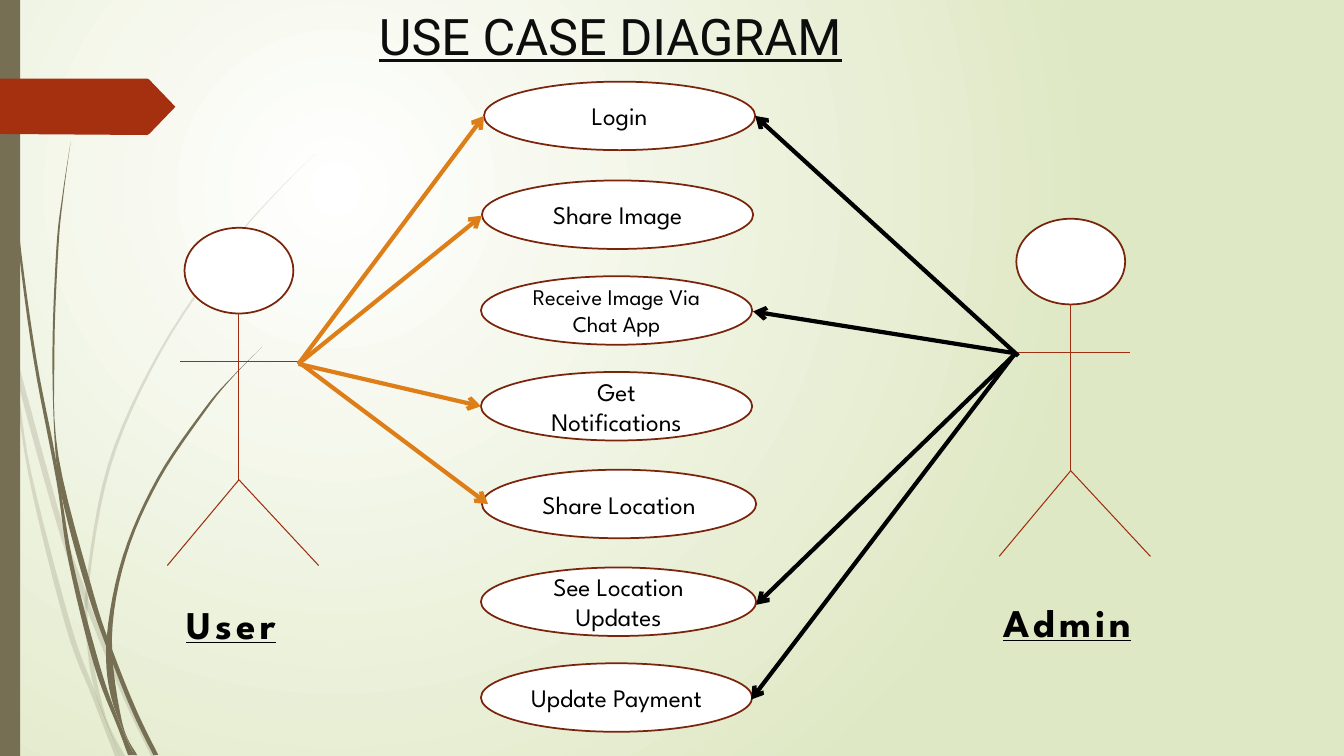
from dataclasses import dataclass
from typing import Any, Optional

from lxml import etree
from pptx import Presentation
from pptx import util as u
from pptx.dml.color import RGBColor
from pptx.enum import shapes, text
from pptx.oxml import ns

Point = tuple[float, float]

# The slide is a grid of 13.33 columns by 7.5 rows.
COLUMNS, ROWS = 13.33, 7.5
SLIDE_W, SLIDE_H = u.Inches(COLUMNS), u.Inches(ROWS)

WHITE = RGBColor(0xFF, 0xFF, 0xFF)
PALE_GREEN = RGBColor(0xDF, 0xE8, 0xC4)
OLIVE = RGBColor(0x76, 0x6F, 0x54)
RUST = RGBColor(0xA5, 0x30, 0x10)
OUTLINE = RGBColor(0x7A, 0x24, 0x0C)
LIMB = RGBColor(0x9E, 0x2E, 0x0F)
ORANGE = RGBColor(0xDE, 0x7E, 0x18)
BLACK = RGBColor(0, 0, 0)
TITLE_INK = RGBColor(0x0D, 0x0D, 0x0D)


@dataclass(frozen=True)
class Blade:
    """A grass blade between two edges, both listed from tip to root."""
    left: list[Point]
    right: list[Point]
    opacity: Optional[int] = None


@dataclass(frozen=True)
class UseCase:
    label: str
    col: float
    row: float
    width: float = 2.69
    size: int = 18


@dataclass(frozen=True)
class Actor:
    name: str
    col: float
    row: float
    name_box: tuple[float, float, float, float]
    arrow_color: RGBColor
    arrows: list[tuple[Point, Point]]


BLADES = [
    Blade([(0, 2.99), (0.11, 3.5), (0.28, 4.7), (0.65, 6.21), (0.92, 6.93), (1.14, 7.5)],
          [(0, 2.82), (0.09, 3.22), (0.17, 3.76), (0.31, 4.69), (0.7, 6.19),
           (0.93, 6.83), (1.19, 7.5)], 20),
    Blade([(0.14, 3.45), (0.17, 3.76), (0.57, 5.22), (0.84, 5.99), (1.23, 6.94), (1.5, 7.5)],
          [(0.14, 3.45), (0.62, 5.2), (0.85, 5.86), (0.92, 6.07), (1.27, 6.92),
           (1.55, 7.5)], 20),
    Blade([(3.12, 1.53), (2.68, 1.97), (2.28, 2.44), (1.58, 3.48), (1.07, 4.61),
           (0.85, 5.84), (0.87, 6.46), (0.96, 6.92), (1.19, 7.5)],
          [(3.12, 1.53), (2.68, 1.98), (2.29, 2.45), (1.6, 3.49), (1.1, 4.62),
           (0.88, 5.84), (0.91, 6.46), (1.05, 7.11), (1.24, 7.5)], 20),
    Blade([(0.03, 0), (0.07, 1.1), (0.17, 2.33), (0.33, 3.55), (0.56, 4.77),
           (0.68, 5.57), (0.93, 6.59), (1.17, 7.22), (1.27, 7.49)],
          [(0.04, 0), (0.08, 1.09), (0.19, 2.32), (0.36, 3.55), (0.55, 4.53),
           (0.72, 5.56), (0.98, 6.57), (1.16, 7.1), (1.33, 7.49)]),
    Blade([(0.7, 1.41), (0.62, 1.93), (0.56, 2.45), (0.52, 3.49), (0.55, 4.49),
           (0.64, 5.05), (0.88, 5.92), (1.11, 6.56), (1.32, 7.08), (1.52, 7.49)],
          [(0.7, 1.41), (0.63, 1.93), (0.58, 2.45), (0.54, 3.49), (0.58, 4.53),
           (0.93, 5.9), (1.13, 6.49), (1.36, 7.06), (1.57, 7.49)]),
    Blade([(2.6, 3.44), (2.31, 3.73), (2.03, 4.05), (1.56, 4.74), (1.22, 5.51),
           (1.06, 6.31), (1.1, 6.91), (1.33, 7.49)],
          [(2.6, 3.44), (2.31, 3.74), (2.05, 4.06), (1.58, 4.76), (1.25, 5.52),
           (1.11, 6.33), (1.21, 7.16), (1.36, 7.49)]),
]
RIBBON = [(0, 0.78), (1.46, 0.78), (1.48, 0.79), (1.74, 1.06), (1.48, 1.33),
          (1.46, 1.34), (0, 1.33)]
USE_CASES = [
    UseCase("Login", 4.8, 0.81),
    UseCase("Share Image", 4.78, 1.79),
    UseCase("Receive Image Via Chat App", 4.77, 2.74, size=16),
    UseCase("Get Notifications", 4.77, 3.69),
    UseCase("Share Location", 4.78, 4.66, 2.72),
    UseCase("See Location Updates", 4.77, 5.63, 2.73),
    UseCase("Update Payment", 4.77, 6.58),
]
USE_CASE_ROWS = 0.68
ACTORS = [
    Actor("User", 1.83, 2.26, (1.75, 5.91, 1.32, 0.57), ORANGE, [
        ((2.96, 3.61), (4.8, 1.15)), ((2.96, 3.61), (4.78, 2.14)),
        ((2.96, 3.61), (4.77, 4.03)), ((2.96, 3.59), (4.84, 5))]),
    Actor("Admin", 10.08, 2.17, (9.85, 5.89, 1.73, 0.57), BLACK, [
        ((10.1, 3.53), (7.49, 1.15)), ((10.04, 3.5), (7.47, 3.09)),
        ((10.08, 3.5), (7.5, 6)), ((10.08, 3.49), (7.45, 6.94))]),
]
HEAD_SIZE = (1.08, 0.85)
# Limb ends, counted from the top left of the head.
LIMBS = [((0.54, 0.85), (0.54, 2.5)), ((0.54, 2.5), (-0.17, 3.35)),
         ((0.54, 2.5), (1.33, 3.35)), ((-0.04, 1.33), (1.13, 1.33))]


def place(*cells: float) -> list[int]:
    """Turn alternating columns and rows into slide lengths."""
    return [round(SLIDE_H * c / ROWS if i % 2 else SLIDE_W * c / COLUMNS)
            for i, c in enumerate(cells)]


def smooth(edge: list[Point], steps: int = 6) -> list[Point]:
    """Run a Catmull-Rom curve through the points of an edge."""
    padded = [edge[0], *edge, edge[-1]]
    curve = [edge[0]]
    for a, b, c, d in zip(padded, padded[1:], padded[2:], padded[3:]):
        for t in (step / steps for step in range(1, steps + 1)):
            x, y = (b[k] + t / 2 * (c[k] - a[k]
                    + t * (2 * a[k] - 5 * b[k] + 4 * c[k] - d[k]
                           + t * (3 * b[k] - a[k] - 3 * c[k] + d[k]))) for k in (0, 1))
            curve.append((x, y))
    return curve


def paint(shape: Any, fill: RGBColor, outline: Optional[RGBColor] = None) -> None:
    shape.shadow.inherit = False
    shape.fill.solid()
    shape.fill.fore_color.rgb = fill
    if outline is None:
        shape.line.fill.background()
    else:
        shape.line.color.rgb = outline
        shape.line.width = u.Pt(1.25)


def add_outline(slide: Any, points: list[Point], fill: RGBColor) -> Any:
    start, *rest = [tuple(place(*point)) for point in points]
    builder = slide.shapes.build_freeform(*start)
    builder.add_line_segments(rest, close=True)
    shape = builder.convert_to_shape()
    paint(shape, fill)
    return shape


def add_blade(slide: Any, blade: Blade) -> None:
    shape = add_outline(slide, smooth(blade.left) + smooth(blade.right)[::-1], OLIVE)
    if blade.opacity is not None:
        color = shape.element.spPr.find(".//" + ns.qn("a:srgbClr"))
        etree.SubElement(color, ns.qn("a:alpha"), val=str(blade.opacity * 1000))


def add_oval(slide: Any, *cells: float) -> Any:
    oval = slide.shapes.add_shape(shapes.MSO_SHAPE.OVAL, *place(*cells))
    paint(oval, WHITE, OUTLINE)
    return oval


def add_line(slide: Any, start: Point, end: Point, color: RGBColor, width: float,
             arrow: bool = False) -> None:
    line = slide.shapes.add_connector(shapes.MSO_CONNECTOR.STRAIGHT, *place(*start, *end))
    line.line.color.rgb = color
    line.line.width = u.Pt(width)
    if arrow:
        etree.SubElement(line.line._get_or_add_ln(), ns.qn("a:tailEnd"), type="arrow")
    etree.SubElement(line.element.spPr, ns.qn("a:effectLst"))


def write(shape: Any, words: str, color: RGBColor, spacing: int = 0, **formats: Any) -> Any:
    shape.text_frame.word_wrap = True
    paragraph = shape.text_frame.paragraphs[0]
    run = paragraph.add_run()
    run.text = words
    run.font.color.rgb = color
    for name, value in formats.items():
        setattr(run.font, name, value)
    if spacing:
        run.font._element.set("spc", str(spacing * 100))
    return paragraph


def add_use_case(slide: Any, case: UseCase) -> None:
    oval = add_oval(slide, case.col, case.row, case.width, USE_CASE_ROWS)
    label = write(oval, case.label, BLACK, name="League Spartan", size=u.Pt(case.size))
    label.alignment = text.PP_ALIGN.CENTER
    oval.text_frame.vertical_anchor = text.MSO_ANCHOR.MIDDLE


def add_actor(slide: Any, actor: Actor) -> None:
    add_oval(slide, actor.col, actor.row, *HEAD_SIZE)
    for (x1, y1), (x2, y2) in LIMBS:
        add_line(slide, (actor.col + x1, actor.row + y1),
                 (actor.col + x2, actor.row + y2), LIMB, 0.75)
    for start, end in actor.arrows:
        add_line(slide, start, end, actor.arrow_color, 3, arrow=True)
    write(slide.shapes.add_textbox(*place(*actor.name_box)), actor.name, BLACK, spacing=3,
          name="League Spartan", size=u.Pt(28), bold=True, underline=True)


def set_background(slide: Any) -> None:
    """Fill the slide with a round gradient centred in its upper left."""
    fill = slide.background.fill
    fill.gradient()
    for stop, color in zip(fill.gradient_stops, (WHITE, PALE_GREEN)):
        stop.color.rgb = color
    gradient = slide.element.find(".//" + ns.qn("a:gradFill"))
    gradient.remove(gradient.find(ns.qn("a:lin")))
    circle = etree.SubElement(gradient, ns.qn("a:path"), path="circle")
    etree.SubElement(circle, ns.qn("a:fillToRect"), l="50000", t="50000", r="100000", b="100000")


def main() -> None:
    deck = Presentation()
    deck.slide_width, deck.slide_height = SLIDE_W, SLIDE_H
    slide = deck.slides.add_slide(deck.slide_layouts[6])
    set_background(slide)
    for blade in BLADES:
        add_blade(slide, blade)
    paint(slide.shapes.add_shape(shapes.MSO_SHAPE.RECTANGLE, *place(0, 0, 0.2, ROWS)), OLIVE)
    add_outline(slide, RIBBON, RUST)
    write(slide.shapes.add_textbox(*place(3.66, 0, 5, 0.81)), "USE CASE DIAGRAM", TITLE_INK,
          name="Roboto", size=u.Pt(36), underline=True)
    for case in USE_CASES:
        add_use_case(slide, case)
    for actor in ACTORS:
        add_actor(slide, actor)
    deck.save("out.pptx")


if __name__ == "__main__":
    main()
